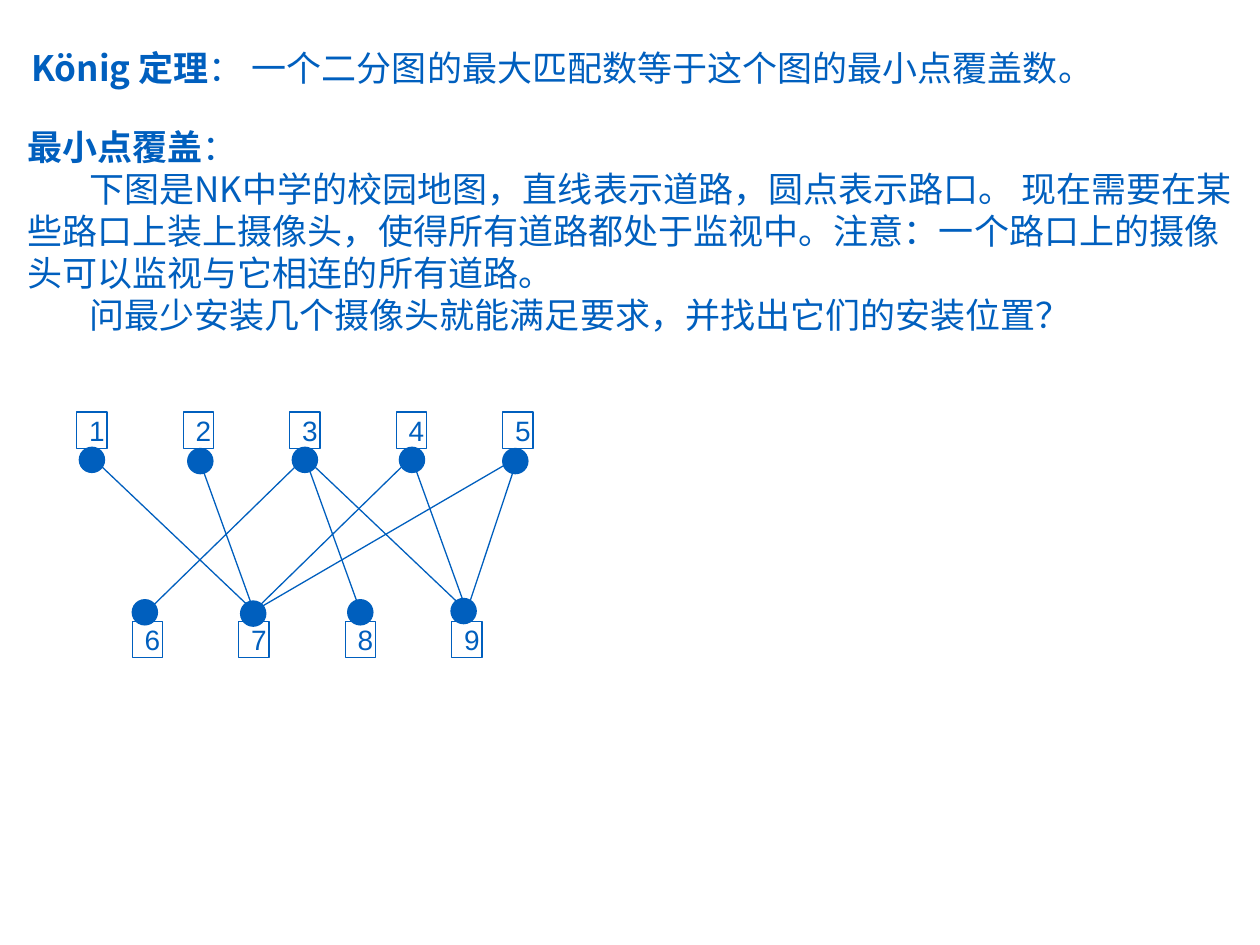
from lxml.etree import SubElement
from pptx import Presentation
from pptx.dml.color import RGBColor
from pptx.enum.shapes import MSO_CONNECTOR, MSO_SHAPE
from pptx.enum.text import MSO_ANCHOR, MSO_AUTO_SIZE, PP_ALIGN
from pptx.oxml.ns import qn
from pptx.util import Inches, Pt

BLUE = RGBColor(0x00, 0x5F, 0xBE)
TEXT_FONT = "Noto Sans CJK SC"
LABEL_FONT = "Arial"

# Graph layout, in inches
PITCH = 0.845
TOP_Y, BOTTOM_Y = 3.63, 4.85
NODE_X = {n: 0.73 + PITCH * (n - 1) for n in range(1, 6)}
NODE_X.update({n: 1.17 + PITCH * (n - 6) for n in range(6, 10)})
DOT_CENTERS = {
    1: (0.73, 3.65), 2: (1.59, 3.66), 3: (2.42, 3.65), 4: (3.27, 3.65),
    5: (4.09, 3.66), 6: (1.15, 4.86), 7: (2.01, 4.87), 8: (2.86, 4.86),
    9: (3.68, 4.85),
}
ROADS = [(1, 7), (2, 7), (3, 8), (4, 9), (3, 9), (5, 7), (5, 9), (4, 7), (3, 6)]

THEOREM = [("König 定理", "： 一个二分图的最大匹配数等于这个图的最小点覆盖数。", 0)]
PROBLEM = [
    ("最小点覆盖", "：", 0),
    ("", "下图是NK中学的校园地图，直线表示道路，圆点表示路口。 现在需要在某些路口上装上"
         "摄像头，使得所有道路都处于监视中。注意：一个路口上的摄像头可以监视与它相连的所有道路。", 0.49),
    ("", "问最少安装几个摄像头就能满足要求，并找出它们的安装位置？", 0.49),
]


def add_run(p, text, bold):
    r = p.add_run()
    r.text = text
    r.font.bold = bold
    r.font.name = TEXT_FONT
    r.font.size = Pt(20)
    r.font.color.rgb = BLUE
    SubElement(r.font._element, qn("a:ea")).set("typeface", TEXT_FONT)


def add_text(s, left, top, width, height, paragraphs, wrap):
    tf = s.shapes.add_textbox(Inches(left), Inches(top),
                              Inches(width), Inches(height)).text_frame
    tf.word_wrap = wrap
    tf.auto_size = MSO_AUTO_SIZE.SHAPE_TO_FIT_TEXT
    for i, (heading, body, indent) in enumerate(paragraphs):
        p = tf.add_paragraph() if i else tf.paragraphs[0]
        p.line_spacing = Pt(24)
        if indent:
            pPr = p._p.get_or_add_pPr()
            pPr.set("marL", "0")
            pPr.set("indent", str(Inches(indent)))
        if heading:
            add_run(p, heading, True)
        add_run(p, body, False)


def add_road(s, start, end):
    line = s.shapes.add_connector(
        MSO_CONNECTOR.STRAIGHT, Inches(NODE_X[start]), Inches(TOP_Y),
        Inches(NODE_X[end]), Inches(BOTTOM_Y))
    line.line.color.rgb = BLUE
    line.line.width = Pt(0.75)
    SubElement(line._element.spPr, qn("a:effectLst"))


def add_outlined(s, kind, left, top, width, height):
    sp = s.shapes.add_shape(kind, Inches(left), Inches(top),
                            Inches(width), Inches(height))
    sp.shadow.inherit = False
    sp.line.color.rgb = BLUE
    sp.line.width = Pt(0.75)
    return sp


def add_label(s, node):
    top = 3.27 if node <= 5 else 4.93
    sp = add_outlined(s, MSO_SHAPE.RECTANGLE, NODE_X[node] - 0.12, top, 0.24, 0.29)
    sp.fill.background()
    tf = sp.text_frame
    tf.word_wrap = True
    tf.vertical_anchor = MSO_ANCHOR.MIDDLE
    p = tf.paragraphs[0]
    p.text = str(node)
    p.alignment = PP_ALIGN.LEFT
    p.font.name = LABEL_FONT
    p.font.size = Pt(16)
    p.font.color.rgb = BLUE


def add_dot(s, x, y):
    sp = add_outlined(s, MSO_SHAPE.OVAL, x - 0.1, y - 0.1, 0.2, 0.2)
    sp.fill.solid()
    sp.fill.fore_color.rgb = BLUE


def main():
    prs = Presentation()
    prs.slide_width, prs.slide_height = Inches(10), Inches(7.5)
    s = prs.slides.add_slide(prs.slide_layouts[6])

    # Theorem and problem statement
    add_text(s, 0.15, 0.32, 8.7, 0.44, THEOREM, False)
    add_text(s, 0.12, 0.95, 9.76, 1.77, PROBLEM, True)

    # Campus map: roads, numbers, crossings
    for start, end in ROADS:
        add_road(s, start, end)
    for node in NODE_X:
        add_label(s, node)
    for x, y in DOT_CENTERS.values():
        add_dot(s, x, y)

    prs.save("out.pptx")


if __name__ == "__main__":
    main()
